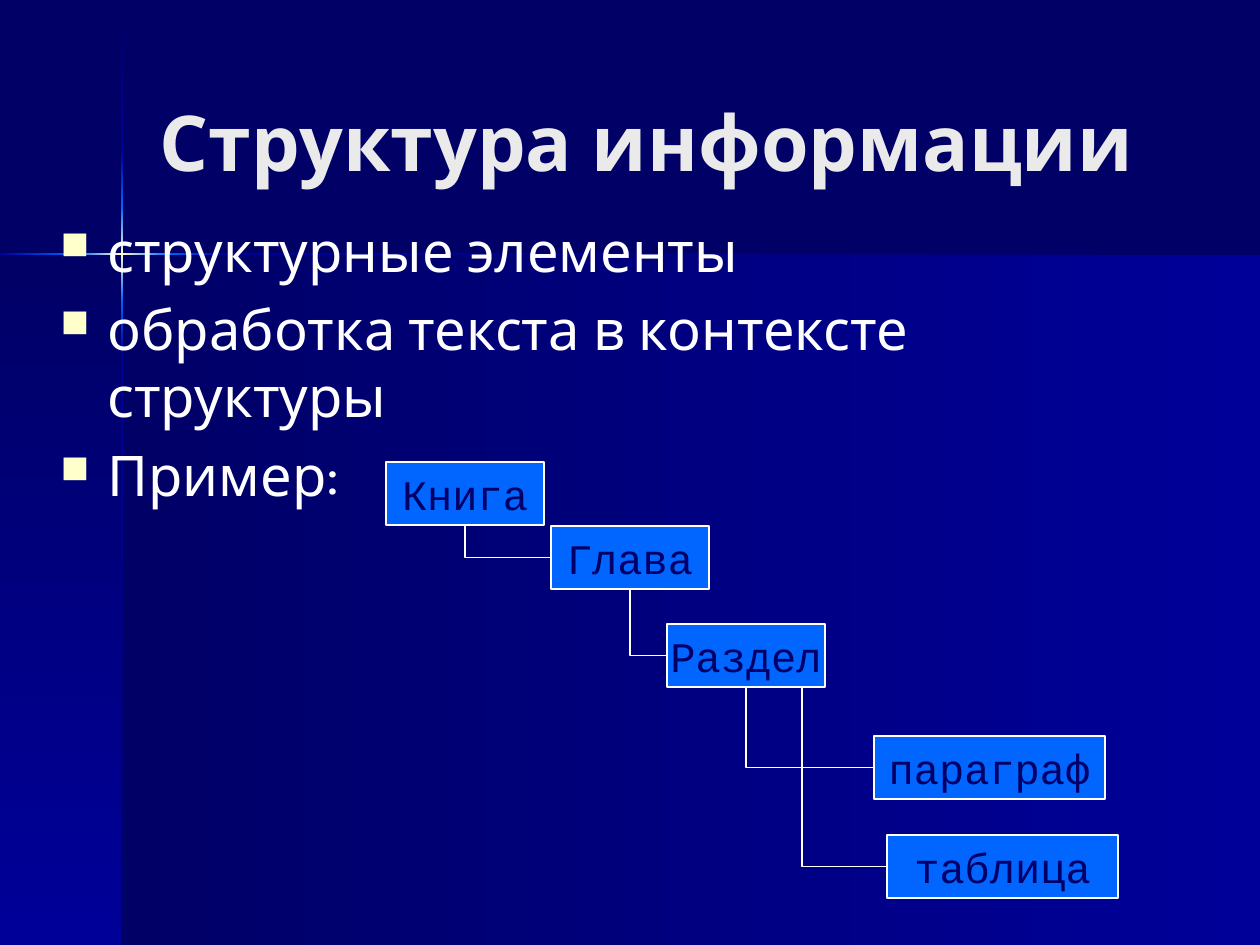
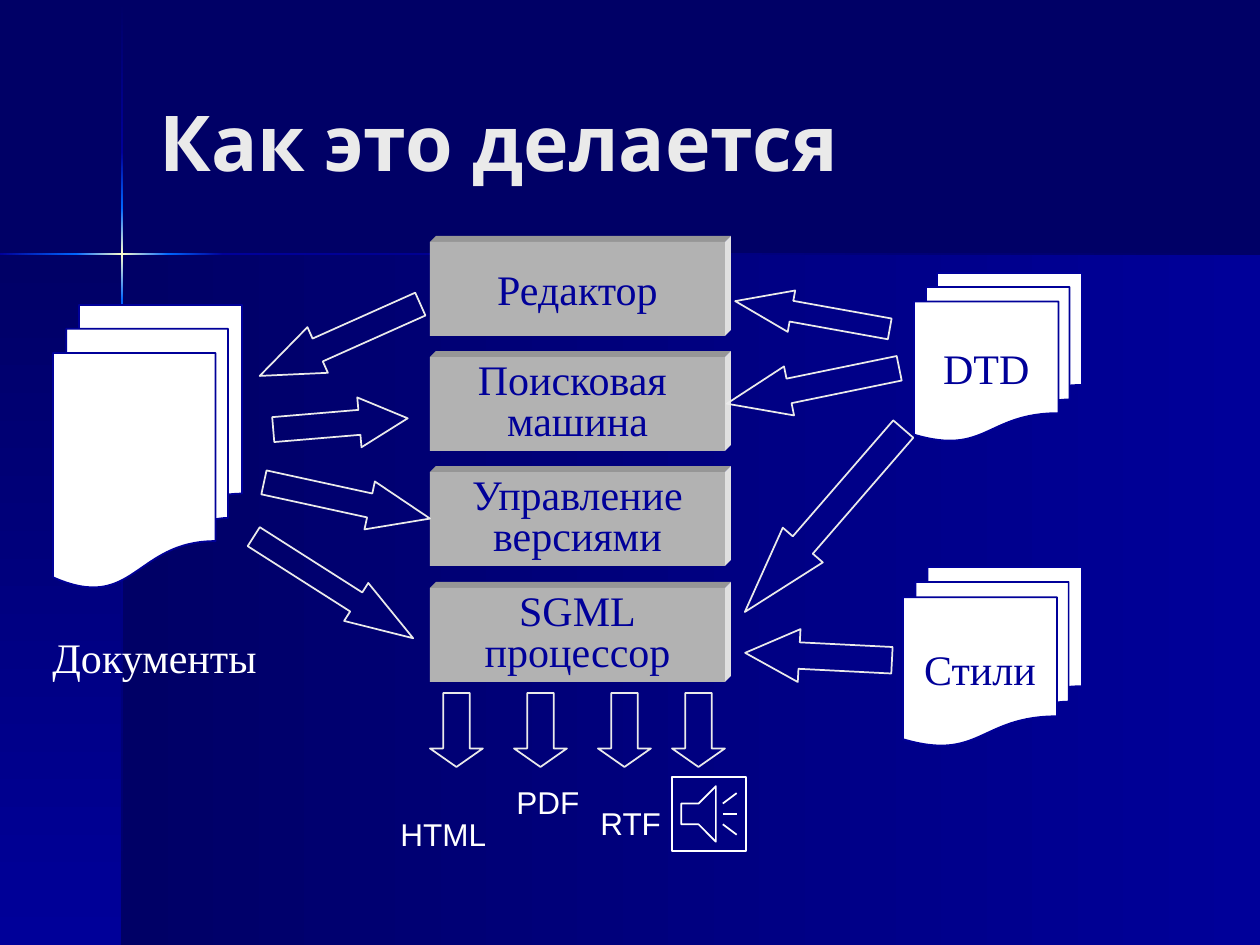
from lxml.etree import SubElement
from pptx import Presentation
from pptx.dml.color import RGBColor
from pptx.enum.shapes import MSO_CONNECTOR, MSO_SHAPE as SHAPE
from pptx.enum.text import MSO_ANCHOR as ANCHOR, MSO_AUTO_SIZE as AUTO_SIZE, PP_ALIGN as ALIGN
from pptx.oxml.ns import qn
from pptx.util import Pt

EMU_PER_PX = 914400 / 126
WIDTH, HEIGHT = 1260, 945

NAVY, BLUE, AZURE, CREAM = "000066", "000099", "0066FF", "FFFFCC"
WHITE, PALE = "FFFFFF", "EAEAEA"
FACE, TOP_EDGE, SIDE_EDGE = "B2B2B2", "969696", "E0E0E0"
HEADING, MONO, SERIF, SANS = "Karla", "Courier New", "Times New Roman", "Arial"

# Background: two gradient fields and a glowing cross of two rays
CROSS_X, CROSS_Y, RAY = 122, 255, 2
FIELDS = [  # left, top, width, height, angle
    (CROSS_X, CROSS_Y, WIDTH - CROSS_X, HEIGHT - CROSS_Y, 0),
    (0, CROSS_Y, CROSS_X, HEIGHT - CROSS_Y, 90),
]
GLOW = [
    (NAVY, BLUE), (BLUE, AZURE), (AZURE, CREAM, AZURE), (AZURE, BLUE), (BLUE, NAVY),
]
VERTICAL_STOPS = [1, 152, 208, 300, 355, HEIGHT]
HORIZONTAL_STOPS = [0, 76, 168, 223, WIDTH]

TITLE_PLACE = (147, 42, 1040, 198)

# Slide 1
STRUCTURE_TITLE = "Структура информации"
POINTS = [
    "структурные элементы",
    "обработка текста в контексте структуры",
    "Пример:",
]
POINTS_PLACE = (48, 210, 1040, 567)
NODE_HEIGHT = 63
NODES = {  # left, top, width
    "Книга": (386, 462, 158),
    "Глава": (551, 526, 158),
    "Раздел": (667, 624, 158),
    "параграф": (874, 736, 231),
    "таблица": (887, 835, 231),
}
BRANCHES = [  # parent, child, x of the start when it is off the middle
    ("Книга", "Глава", None),
    ("Глава", "Раздел", None),
    ("Раздел", "параграф", None),
    ("Раздел", "таблица", 802),
]

# Slide 2
PROCESS_TITLE = "Как это делается"
STACKS = [  # text, left, top, width, height
    ("", 53, 305, 189, 283),
    ("DTD", 914, 273, 168, 168),
    ("Стили", 903, 567, 179, 179),
]
TOOLS = ["Редактор", "Поисковая \vмашина", "Управление\vверсиями", "SGML\vпроцессор"]
TOOL_LEFT, TOOL_TOP, TOOL_WIDTH, TOOL_HEIGHT = 430, 242, 295, 94
TOOL_SPAN, DEPTH = 346, 6
FLOWS = [  # left, top, width, height, rotation, head length
    (252, 315, 176, 50, 155.9, 1.27),
    (239, 565, 189, 45, 32.5, 1.5),
    (745, 630, 147, 53, 182.9, 1.02),
    (725, 361, 176, 50, 168.4, 1.27),
    (273, 399, 135, 50, 355.2, 0.97),
    (262, 476, 170, 49, 12.3, 1.26),
    (734, 294, 157, 42, 190.2, 1.36),
    (703, 494, 242, 53, 130.9, 1.67),
]
OUTPUT_ARROW_LEFTS = [430, 514, 598, 672]
OUTPUT_ARROW_TOP, OUTPUT_ARROW_WIDTH, OUTPUT_ARROW_HEIGHT = 693, 53, 74
CAPTIONS = [  # text, left, top, width, height, size, font
    ("Документы", 40, 625, 231, 63, 24, SERIF),
    ("HTML", 388, 809, 111, 50, 18, SANS),
    ("PDF", 504, 777, 88, 50, 18, SANS),
    ("RTF", 588, 798, 87, 50, 18, SANS),
]
SOUND_PLACE = (672, 777, 74, 74)


def px(value):
    return round(value * EMU_PER_PX)


def place(*lengths):
    return [px(length) for length in lengths]


def rgb(hex_colour):
    return RGBColor.from_string(hex_colour)


def paint(shape, fill=None, line=None):
    shape.shadow.inherit = False
    if fill:
        shape.fill.solid()
        shape.fill.fore_color.rgb = rgb(fill)
    else:
        shape.fill.background()
    if line:
        shape.line.color.rgb = rgb(line)
        shape.line.width = Pt(1)
    else:
        shape.line.fill.background()


def add_painted(slide, kind, box, fill=None, line=None):
    shape = slide.shapes.add_shape(kind, *place(*box))
    paint(shape, fill, line)
    return shape


def write(shape, text, size, font, colour, align=ALIGN.CENTER, anchor=ANCHOR.MIDDLE,
          wrap=False, bold=False, spacing=None):
    frame = shape.text_frame
    frame.text = text
    frame.word_wrap = wrap
    frame.auto_size = AUTO_SIZE.NONE
    frame.vertical_anchor = anchor
    for paragraph in frame.paragraphs:
        paragraph.alignment = align
        paragraph.line_spacing = spacing
        for run in paragraph.runs:
            run.font.size = Pt(size)
            run.font.name = font
            run.font.bold = bold
            run.font.color.rgb = rgb(colour)


def add_gradient(slide, box, angle, colours):
    band = add_painted(slide, SHAPE.RECTANGLE, box)
    band.fill.gradient()
    band.fill.gradient_angle = -angle % 360
    stops = band.element.find(".//" + qn("a:gsLst"))
    for stop in list(stops):
        stops.remove(stop)
    for i, colour in enumerate(colours):
        stop = SubElement(stops, qn("a:gs"), pos=str(100000 * i // (len(colours) - 1)))
        SubElement(stop, qn("a:srgbClr"), val=colour)
    return band


def decorate_layout(layout, slide):
    """Draw the backdrop on the slide, then move it behind the layout's placeholders."""
    layout.background.fill.solid()
    layout.background.fill.fore_color.rgb = rgb(NAVY)
    bands = [add_gradient(slide, box, angle, (NAVY, BLUE)) for *box, angle in FIELDS]
    for start, end, colours in zip(VERTICAL_STOPS, VERTICAL_STOPS[1:], GLOW):
        box = (CROSS_X - 1, start, RAY, end - start)
        bands.append(add_gradient(slide, box, 90, colours))
    for start, end, colours in zip(HORIZONTAL_STOPS, HORIZONTAL_STOPS[1:], GLOW[1:]):
        box = (start, CROSS_Y - 2, end - start, RAY)
        bands.append(add_gradient(slide, box, 0, colours))
    for i, band in enumerate(bands):
        layout.shapes.element.insert(2 + i, band.element)


def set_title(slide, text):
    title = slide.shapes.title
    title.left, title.top, title.width, title.height = place(*TITLE_PLACE)
    write(title, text, 44, HEADING, PALE, ALIGN.LEFT, wrap=True, bold=True)


def add_points(slide):
    body = slide.shapes.add_textbox(*place(*POINTS_PLACE))
    write(body, "\n".join(POINTS), 32, HEADING, WHITE, ALIGN.LEFT, ANCHOR.TOP, wrap=True)
    for paragraph in body.text_frame.paragraphs:
        paragraph.space_before = Pt(6.4)
        props = paragraph._p.get_or_add_pPr()
        props.set("marL", str(px(47)))
        props.set("indent", str(-px(47)))
        SubElement(SubElement(props, qn("a:buClr")), qn("a:srgbClr"), val=CREAM)
        SubElement(props, qn("a:buSzPct"), val="70000")
        SubElement(props, qn("a:buChar"), char="■")


def add_branch(slide, parent, child, start_x):
    """Run an elbow line down from the parent and right into the child."""
    x1 = px(start_x) if start_x else parent.left + parent.width // 2
    y1 = parent.top + parent.height
    x2, y2 = child.left, child.top + child.height // 2
    branch = slide.shapes.add_connector(MSO_CONNECTOR.ELBOW, x1, y1, x2, y2)
    if start_x is None:
        branch.begin_connect(parent, 2)
        branch.end_connect(child, 1)
    branch.line.color.rgb = rgb(WHITE)
    branch.line.width = Pt(1)

    run, drop = x2 - x1, y2 - y1
    branch.left, branch.top = (x1 + x2 - drop) // 2, (y1 + y2 - run) // 2
    branch.width, branch.height = drop, run
    props = branch.element.spPr
    props.find(qn("a:prstGeom")).set("prst", "bentConnector2")
    frame = props.find(qn("a:xfrm"))
    frame.set("rot", str(270 * 60000))
    frame.set("flipH", "1")
    SubElement(props, qn("a:effectLst"))


def add_edge(slide, corners, colour):
    builder = slide.shapes.build_freeform(*place(*corners[0]))
    builder.add_line_segments([place(*corner) for corner in corners[1:]])
    paint(builder.convert_to_shape(), colour)


def add_tool(slide, text, top):
    left, right, bottom = TOOL_LEFT, TOOL_LEFT + TOOL_WIDTH, top + TOOL_HEIGHT
    back_top, back_right = top - DEPTH, right + DEPTH
    add_edge(slide, [(left, top), (left + DEPTH, back_top), (back_right, back_top),
                     (right, top)], TOP_EDGE)
    add_edge(slide, [(right, top), (back_right, back_top), (back_right, bottom - DEPTH),
                     (right, bottom)], SIDE_EDGE)
    face = add_painted(slide, SHAPE.RECTANGLE, (left, top, TOOL_WIDTH, TOOL_HEIGHT), FACE)
    write(face, text, 24, SERIF, BLUE, spacing=0.8 if "\v" in text else None)


def build_structure(slide):
    set_title(slide, STRUCTURE_TITLE)
    add_points(slide)
    nodes = {}
    for name, box in NODES.items():
        nodes[name] = add_painted(slide, SHAPE.RECTANGLE, (*box, NODE_HEIGHT), AZURE, WHITE)
        write(nodes[name], name, 24, MONO, NAVY)
    for parent, child, start_x in BRANCHES:
        add_branch(slide, nodes[parent], nodes[child], start_x)


def build_process(slide):
    set_title(slide, PROCESS_TITLE)
    for text, *box in STACKS:
        stack = add_painted(slide, SHAPE.FLOWCHART_MULTIDOCUMENT, box, WHITE, BLUE)
        if text:
            write(stack, text, 24, SERIF, BLUE)
    for i, text in enumerate(TOOLS):
        add_tool(slide, text, TOOL_TOP + i * TOOL_SPAN // (len(TOOLS) - 1))
    for *box, rotation, head in FLOWS:
        flow = add_painted(slide, SHAPE.RIGHT_ARROW, box, line=PALE)
        flow.rotation = rotation
        flow.adjustments[0], flow.adjustments[1] = 0.5, head
    for left in OUTPUT_ARROW_LEFTS:
        box = (left, OUTPUT_ARROW_TOP, OUTPUT_ARROW_WIDTH, OUTPUT_ARROW_HEIGHT)
        output = add_painted(slide, SHAPE.DOWN_ARROW, box, line=PALE)
        output.adjustments[1] = 0.35
    for text, *box, size, font in CAPTIONS:
        caption = slide.shapes.add_textbox(*place(*box))
        write(caption, text, size, font, WHITE, ALIGN.LEFT, ANCHOR.TOP)
    add_painted(slide, SHAPE.ACTION_BUTTON_SOUND, SOUND_PLACE, line=WHITE)


def main():
    deck = Presentation()
    deck.slide_width, deck.slide_height = place(WIDTH, HEIGHT)
    title_only = deck.slide_layouts[5]
    structure, process = [deck.slides.add_slide(title_only) for _ in range(2)]
    decorate_layout(title_only, structure)
    build_structure(structure)
    build_process(process)
    deck.save("out.pptx")


if __name__ == "__main__":
    main()
